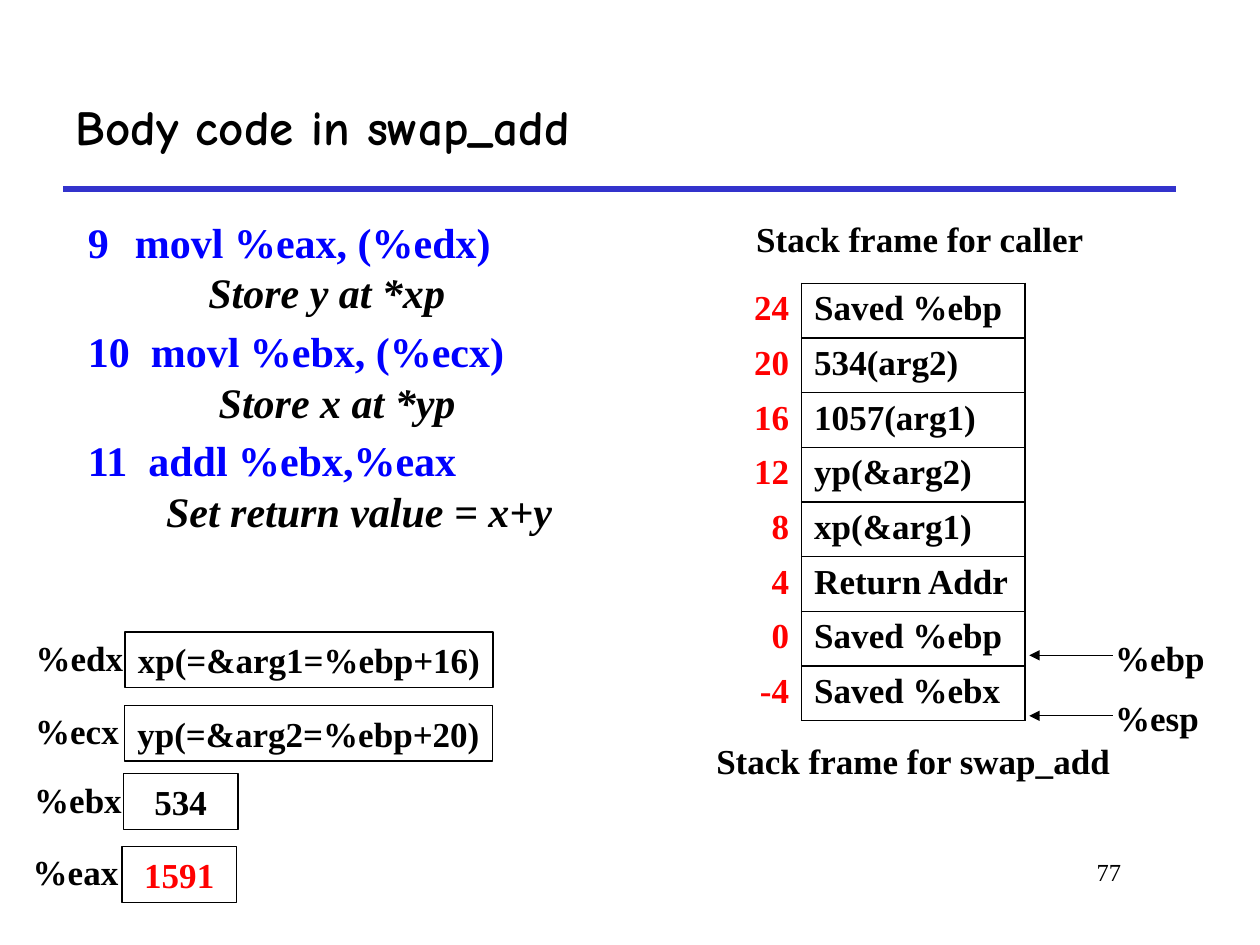
from dataclasses import dataclass
from lxml.etree import SubElement as Sub
from pptx import Presentation
from pptx.dml.color import RGBColor as Rgb
from pptx.enum.shapes import MSO_CONNECTOR as Link, MSO_SHAPE as Kind
from pptx.enum.text import MSO_ANCHOR as Anchor, PP_ALIGN as Align
from pptx.oxml.ns import qn
from pptx.util import Cm, Pt


@dataclass(frozen=True)
class Theme:
    black: Rgb = Rgb(0, 0, 0)
    red: Rgb = Rgb(255, 0, 0)
    blue: Rgb = Rgb(0, 0, 255)
    rule: Rgb = Rgb(0x33, 0x33, 0xCC)
    serif: str = "Times New Roman"
    comic: str = "Comic Neue"
    head: int = 28
    code: int = 24
    body: int = 20
    page: int = 14


@dataclass(frozen=True)
class Step:
    num: str
    code: str
    note: str
    hang: float
    inset: float


@dataclass(frozen=True)
class Reg:
    name: str
    value: str
    left: float
    top: float
    wide: float
    color: Rgb = Theme.black


@dataclass(frozen=True)
class Mark:
    name: str
    top: float


STEPS = [
    Step("9", "movl %eax, (%edx)", "Store y at *xp", 0.95, 2.43),
    Step("10", "movl %ebx, (%ecx)", "Store x at *yp", 1.27, 2.64),
    Step("11", "addl %ebx,%eax", "Set return value = x+y", 1.22, 1.58),
]
STACK = ["Saved %ebp", "534(arg2)", "1057(arg1)", "yp(&arg2)",
         "xp(&arg1)", "Return Addr", "Saved %ebp", "Saved %ebx"]
REGS = [
    Reg("%edx", "xp(=&arg1=%ebp+16)", 2.52, 12.74, 7.42),
    Reg("%ecx", "yp(=&arg2=%ebp+20)", 2.51, 14.22, 7.42),
    Reg("%ebx", "534", 2.49, 15.6, 2.31),
    Reg("%eax", "1591", 2.46, 17.07, 2.31, Theme.red),
]
MARKS = [Mark("%ebp", 12.7), Mark("%esp", 13.92)]


def style(para, size: int = Theme.body, color: Rgb = Theme.black,
          face: str = Theme.serif, bold: bool = True, tilt: bool = False) -> None:
    font = para.font
    font.name, font.size, font.bold, font.italic = face, Pt(size), bold, tilt
    font.color.rgb = color


def label(slide, text: str, x: float, y: float, w: float, h: float = 1.09,
          align=Align.LEFT, anchor=Anchor.TOP, **look) -> None:
    frame = slide.shapes.add_textbox(Cm(x), Cm(y), Cm(w), Cm(h)).text_frame
    frame.word_wrap, frame.vertical_anchor = True, anchor
    para = frame.paragraphs[0]
    para.text, para.alignment = text, align
    style(para, **look)


def line(slide, x: float, y: float, end: float, color: Rgb, width: float,
         arrow: bool = False) -> None:
    link = slide.shapes.add_connector(Link.STRAIGHT, Cm(x), Cm(y), Cm(end), Cm(y))
    link.line.color.rgb, link.line.width = color, Pt(width)
    if arrow:
        Sub(link.line._get_or_add_ln(), qn("a:tailEnd"), type="triangle")
    Sub(link._element.spPr, qn("a:effectLst"))


def listing(slide, theme: Theme) -> None:
    box = slide.shapes.add_textbox(Cm(1.52), Cm(4.24), Cm(12.24), Cm(6.83))
    frame = box.text_frame
    frame.word_wrap = True
    for i, step in enumerate(STEPS):
        code = frame.add_paragraph() if i else frame.paragraphs[0]
        code.text = f"{step.num}\t{step.code}"
        props = code._p.get_or_add_pPr()
        props.set("marL", str(Cm(step.hang)))
        props.set("indent", str(-Cm(step.hang)))
        if i:
            code.space_before = Pt(4.8)
        style(code, theme.code, theme.blue)
        note = frame.add_paragraph()
        note.text = step.note
        note._p.get_or_add_pPr().set("marL", str(Cm(step.inset)))
        style(note, theme.code, tilt=True)


def border(cell, sides: str, color: Rgb) -> None:
    props = cell._tc.get_or_add_tcPr()
    for i, side in enumerate("LRTB"):
        edge = Sub(props, qn(f"a:ln{side}"), w=str(Pt(1)))
        props.insert(i, edge)
        if side in sides:
            fill = Sub(edge, qn("a:solidFill"))
            Sub(fill, qn("a:srgbClr"), val=str(color))
        else:
            Sub(edge, qn("a:noFill"))


def stack(slide, theme: Theme) -> None:
    rows, high = len(STACK), 1.1
    grid = slide.shapes.add_table(rows, 2, Cm(14.61), Cm(5.71), Cm(6.05),
                                  Cm(rows * high)).table
    grid.first_row = grid.horz_banding = False
    for col, wide in zip(grid.columns, (1.55, 4.5)):
        col.width = Cm(wide)
    for i, text in enumerate(STACK):
        grid.rows[i].height = Cm(high)
        looks = [(str(24 - 4 * i), Align.RIGHT, theme.red, "R"),
                 (text, Align.LEFT, theme.black, "LRTB")]
        for cell, (word, align, color, sides) in zip(grid.rows[i].cells, looks):
            cell.text, cell.vertical_anchor = word, Anchor.TOP
            cell.fill.background()
            para = cell.text_frame.paragraphs[0]
            para.alignment = align
            style(para, color=color)
            border(cell, sides, theme.black)


def store(slide, reg: Reg, theme: Theme) -> None:
    box = slide.shapes.add_shape(Kind.RECTANGLE, Cm(reg.left), Cm(reg.top),
                                 Cm(reg.wide), Cm(1.12))
    box.shadow.inherit = False
    box.fill.background()
    box.line.color.rgb, box.line.width = theme.black, Pt(0.75)
    box.text_frame.word_wrap = False
    para = box.text_frame.paragraphs[0]
    para.text, para.alignment = reg.value, Align.CENTER
    style(para, color=reg.color)
    label(slide, reg.name, reg.left - 2.05, reg.top - 0.04, 2.5)


def main() -> None:
    theme = Theme()
    deck = Presentation()
    deck.slide_width, deck.slide_height = Cm(25.4), Cm(19.05)
    slide = deck.slides.add_slide(deck.slide_layouts[6])
    line(slide, 1.27, 3.81, 23.7, theme.rule, 3)
    label(slide, "Body code in swap_add", 1.27, 1.27, 22.43, 2.54,
          anchor=Anchor.MIDDLE, size=theme.head, face=theme.comic)
    listing(slide, theme)
    label(slide, "Stack frame for caller", 14.81, 4.25, 7.47, align=Align.CENTER)
    stack(slide, theme)
    label(slide, "Stack frame for swap_add", 14.18, 14.79, 8.46, align=Align.CENTER)
    for reg in REGS:
        store(slide, reg, theme)
    for mark in MARKS:
        label(slide, mark.name, 22.23, mark.top, 2.5)
        line(slide, 22.43, mark.top + 0.51, 20.75, theme.black, 0.75, True)
    label(slide, "77", 19.25, 17.15, 3.6, 1.27, align=Align.RIGHT,
          size=theme.page, bold=False)
    deck.save("out.pptx")


if __name__ == "__main__":
    main()
